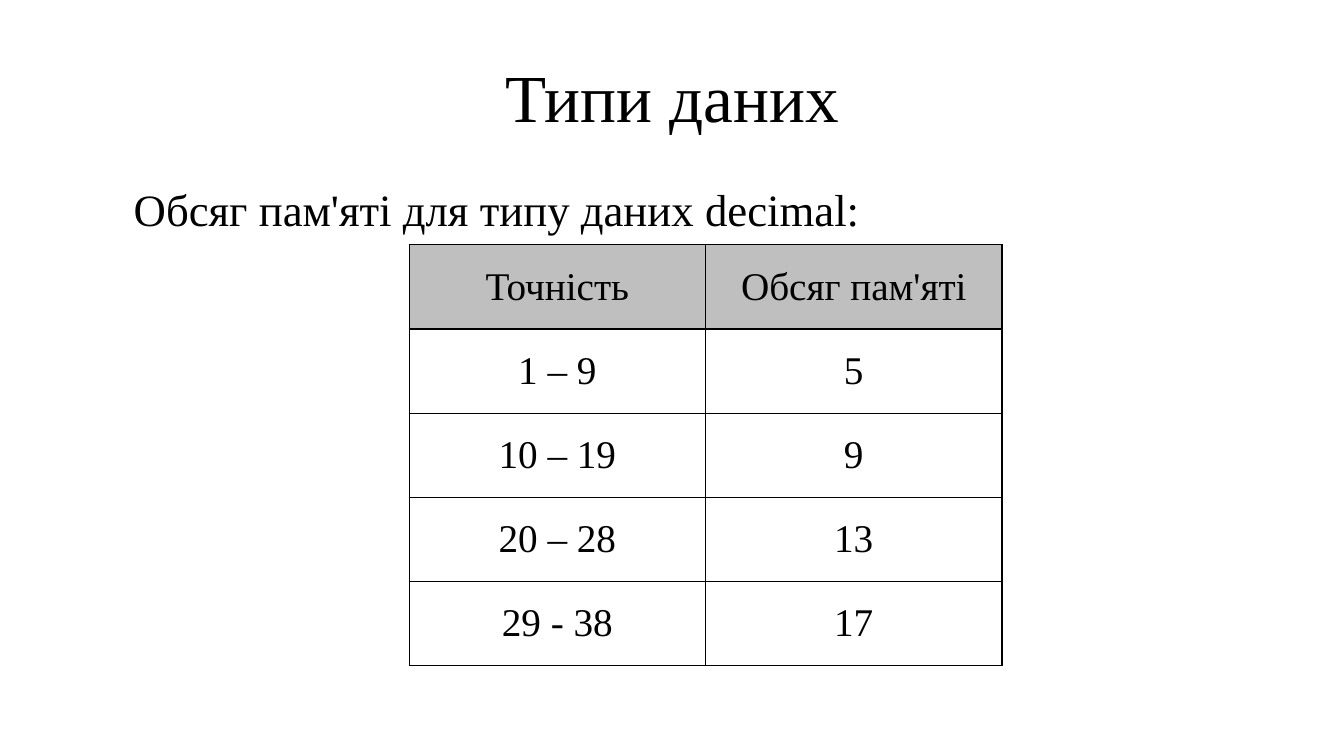
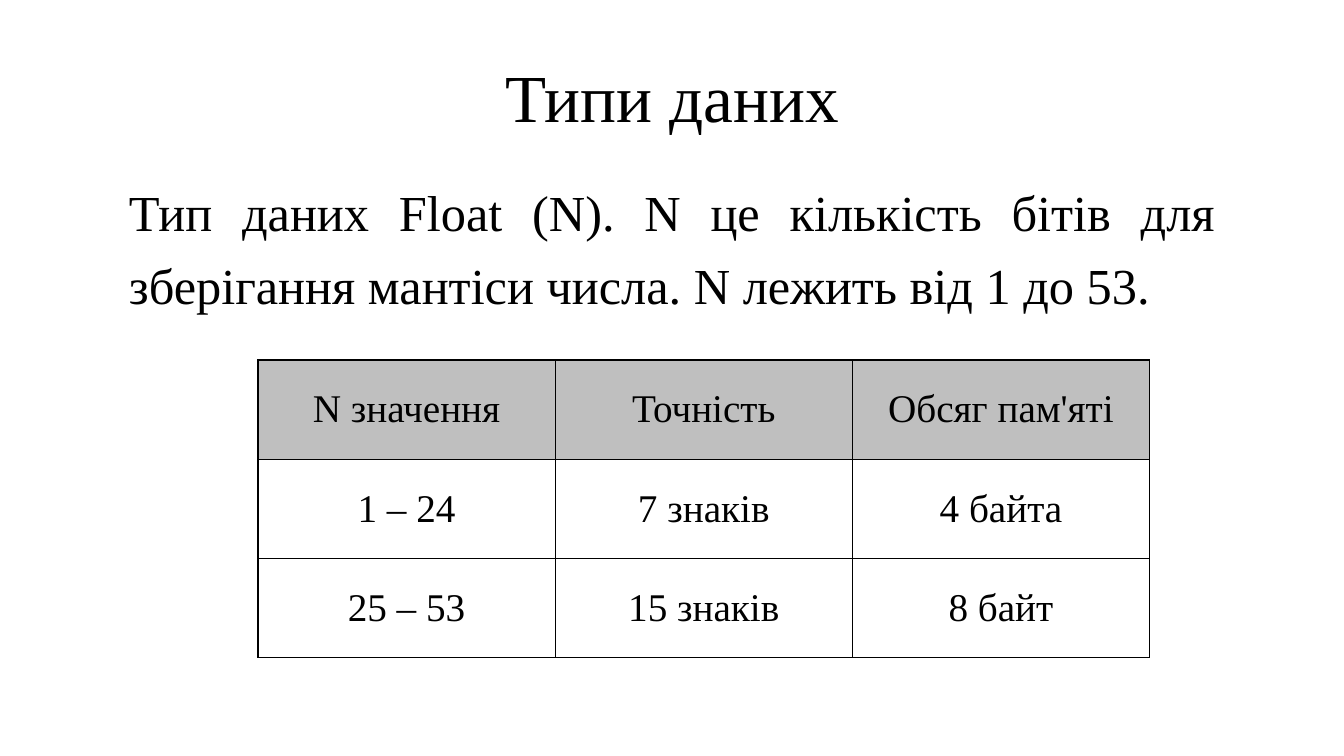
from pptx import Presentation
from pptx.dml.color import RGBColor
from pptx.enum.text import MSO_ANCHOR, MSO_AUTO_SIZE, PP_ALIGN
from pptx.oxml.ns import qn
from pptx.util import Cm, Pt
from lxml.etree import SubElement

FONT = "Times New Roman"
BLACK = RGBColor(0x00, 0x00, 0x00)
WHITE = RGBColor(0xFF, 0xFF, 0xFF)
HEADER_GRAY = RGBColor(0xBF, 0xBF, 0xBF)
TITLE = "Типи даних"
TITLE_BOX = (4.24, 1.83, 25.4, 1.75)


def write_text(frame, text, size, align=PP_ALIGN.CENTER, line_spacing=None,
               space_before=None):
    """Write one formatted paragraph into a text frame."""
    para = frame.paragraphs[0]
    para.alignment = align
    para.line_spacing = line_spacing
    para.space_before = space_before
    span = para.add_run()
    span.text = text
    span.font.name = FONT
    span.font.size = Pt(size)
    span.font.color.rgb = BLACK


def add_page(deck):
    """Add a white title-only page carrying the shared title."""
    page = deck.slides.add_slide(deck.slide_layouts[5])
    page.background.fill.solid()
    page.background.fill.fore_color.rgb = WHITE
    title = page.shapes.title
    title.left, title.top, title.width, title.height = map(Cm, TITLE_BOX)
    frame = title.text_frame
    frame.word_wrap = True
    frame.auto_size = MSO_AUTO_SIZE.NONE
    frame.vertical_anchor = MSO_ANCHOR.BOTTOM
    write_text(frame, TITLE, 48, line_spacing=0.9)
    return page


def add_statement(page, text, size, left, top, width=27.89, height=13.59):
    """Place the justified statement below the title."""
    box = page.shapes.add_textbox(Cm(left), Cm(top), Cm(width), Cm(height))
    box.text_frame.word_wrap = True
    write_text(box.text_frame, text, size, align=PP_ALIGN.JUSTIFY,
               line_spacing=1.2, space_before=Pt(10))


def format_cell(cell, text, color):
    """Give a table cell its text, black borders and fill."""
    cell.vertical_anchor = MSO_ANCHOR.MIDDLE
    write_text(cell.text_frame, text, 28)
    properties = cell._tc.get_or_add_tcPr()
    for side in ("lnL", "lnR", "lnT", "lnB"):
        border = SubElement(properties, qn(f"a:{side}"), w=str(Pt(1)))
        fill = SubElement(border, qn("a:solidFill"))
        SubElement(fill, qn("a:srgbClr"), val=str(BLACK))
    cell.fill.solid()
    cell.fill.fore_color.rgb = color


def add_grid(page, rows, left, top, column_width, row_height):
    """Place a table of equal cells with a gray header row."""
    columns = len(rows[0])
    table = page.shapes.add_table(
        len(rows), columns, Cm(left), Cm(top),
        Cm(column_width * columns), Cm(row_height * len(rows))).table
    for column in table.columns:
        column.width = Cm(column_width)
    for row_index, values in enumerate(rows):
        table.rows[row_index].height = Cm(row_height)
        color = WHITE if row_index else HEADER_GRAY
        for column_index, text in enumerate(values):
            format_cell(table.cell(row_index, column_index), text, color)


def build_decimal_page(deck):
    """Build the page on storage of the decimal type."""
    page = add_page(deck)
    add_statement(page, "Обсяг пам'яті для типу даних decimal:", 32,
                  left=3.12, top=4.19)
    rows = [("Точність", "Обсяг пам'яті"), ("1 – 9", "5"), ("10 – 19", "9"),
            ("20 – 28", "13"), ("29 - 38", "17")]
    add_grid(page, rows, left=10.31, top=6.17, column_width=7.47, row_height=2.12)


def build_float_page(deck):
    """Build the page on storage of the float type."""
    page = add_page(deck)
    add_statement(page, "Тип даних Float (N). N це кількість бітів для "
                  "зберігання мантіси числа. N лежить від 1 до 53.", 36,
                  left=3, top=4.14)
    rows = [("N значення", "Точність", "Обсяг пам'яті"),
            ("1 – 24", "7 знаків", "4 байта"),
            ("25 – 53", "15 знаків", "8 байт")]
    add_grid(page, rows, left=6.5, top=9.07, column_width=7.49, row_height=2.5)


def main():
    """Build and save the deck."""
    deck = Presentation()
    deck.slide_width, deck.slide_height = Cm(33.87), Cm(19.05)
    build_decimal_page(deck)
    build_float_page(deck)
    deck.save("out.pptx")


if __name__ == "__main__":
    main()
